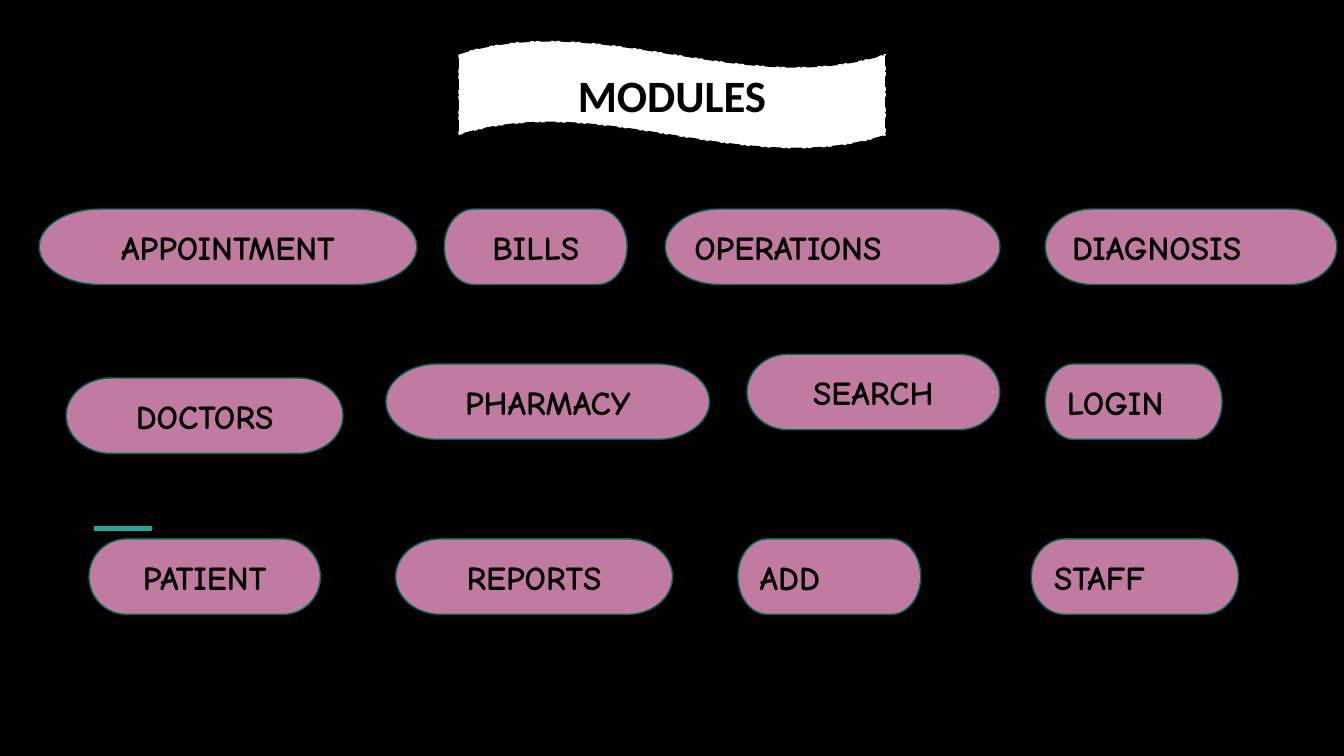
import pptx
import pptx.dml.color
import pptx.enum.dml
import pptx.enum.shapes
import pptx.enum.text
import pptx.util
from dataclasses import dataclass

Pt = pptx.util.Pt
Align = pptx.enum.text.PP_ALIGN
Shape = pptx.enum.shapes.MSO_SHAPE


@dataclass(frozen=True)
class Theme:
    black: str = "000000"
    white: str = "FFFFFF"
    pill: str = "C27BA0"
    outline: str = "00695C"
    accent: str = "26A69A"
    title_font: str = "Calibri"
    label_font: str = "Comic Neue"
    title_size: int = 24
    label_size: int = 18


theme = Theme()


def color(value):
    return pptx.dml.color.RGBColor.from_string(value)


def write(box, text, font_name, size, align):
    frame = box.text_frame
    frame.word_wrap = True
    frame.vertical_anchor = pptx.enum.text.MSO_ANCHOR.MIDDLE
    frame.margin_left = frame.margin_right = Pt(7.2)
    frame.margin_top = frame.margin_bottom = Pt(7.2)
    para = frame.paragraphs[0]
    para.text = text
    para.alignment = align
    para.font.name = font_name
    para.font.size = Pt(size)
    para.font.bold = True
    para.font.color.rgb = color(theme.black)


# Page
deck = pptx.Presentation()
deck.slide_width, deck.slide_height = Pt(720), Pt(405)
page = deck.slides.add_slide(deck.slide_layouts[5])
page.background.fill.solid()
page.background.fill.fore_color.rgb = color(theme.black)

# Accent line
accent = page.shapes.add_connector(
    pptx.enum.shapes.MSO_CONNECTOR.STRAIGHT, Pt(50.4), Pt(283.2), Pt(81.4), Pt(283.2))
accent.line.color.rgb = color(theme.accent)
accent.line.width = Pt(2.25)
accent._element.spPr.append(pptx.oxml.parse_xml(
    '<a:effectLst xmlns:a="http://schemas.openxmlformats.org/drawingml/2006/main"/>'))

# Module pills: label, left, top, width, alignment
modules = [
    ("APPOINTMENT", 21, 112, 202.3, Align.CENTER),
    ("BILLS", 238, 112, 98, Align.CENTER),
    ("OPERATIONS", 356.4, 112, 179.3, Align.LEFT),
    ("DIAGNOSIS", 560, 112, 156.2, Align.LEFT),
    ("DOCTORS", 35.5, 202.5, 148.3, Align.CENTER),
    ("PHARMACY", 206.8, 195, 173.3, Align.CENTER),
    ("SEARCH", 400.2, 189.8, 135.5, Align.CENTER),
    ("LOGIN", 560, 195, 94.7, Align.LEFT),
    ("PATIENT", 47.7, 288.7, 124, Align.CENTER),
    ("REPORTS", 212, 288.7, 148.3, Align.CENTER),
    ("ADD", 395.3, 288.7, 98, Align.LEFT),
    ("STAFF", 552.5, 288.7, 111, Align.LEFT),
]
for label, left, top, width, align in modules:
    pill = page.shapes.add_shape(
        Shape.FLOWCHART_TERMINATOR, Pt(left), Pt(top), Pt(width), Pt(40.4))
    pill.shadow.inherit = False
    pill.fill.solid()
    pill.fill.fore_color.rgb = color(theme.pill)
    pill.line.color.rgb = color(theme.outline)
    pill.line.width = Pt(0.75)
    write(pill, label, theme.label_font, theme.label_size, align)

# Title banner
banner_area = Pt(245.5), Pt(21.6), Pt(229), Pt(58.2)
banner = page.shapes.add_shape(Shape.WAVE, *banner_area)
banner.shadow.inherit = False
banner.adjustments[0] = 0.125
banner.adjustments[1] = 0
banner.fill.solid()
banner.fill.fore_color.rgb = color(theme.white)
banner.line.color.rgb = color(theme.black)
banner.line.width = Pt(0.75)
banner.line.dash_style = pptx.enum.dml.MSO_LINE.LONG_DASH_DOT

# Title, brought in front of its banner
title = page.shapes.title
title.left, title.top, title.width, title.height = banner_area
write(title, "MODULES", theme.title_font, theme.title_size, Align.CENTER)
banner._element.addnext(title._element)

deck.save("out.pptx")
